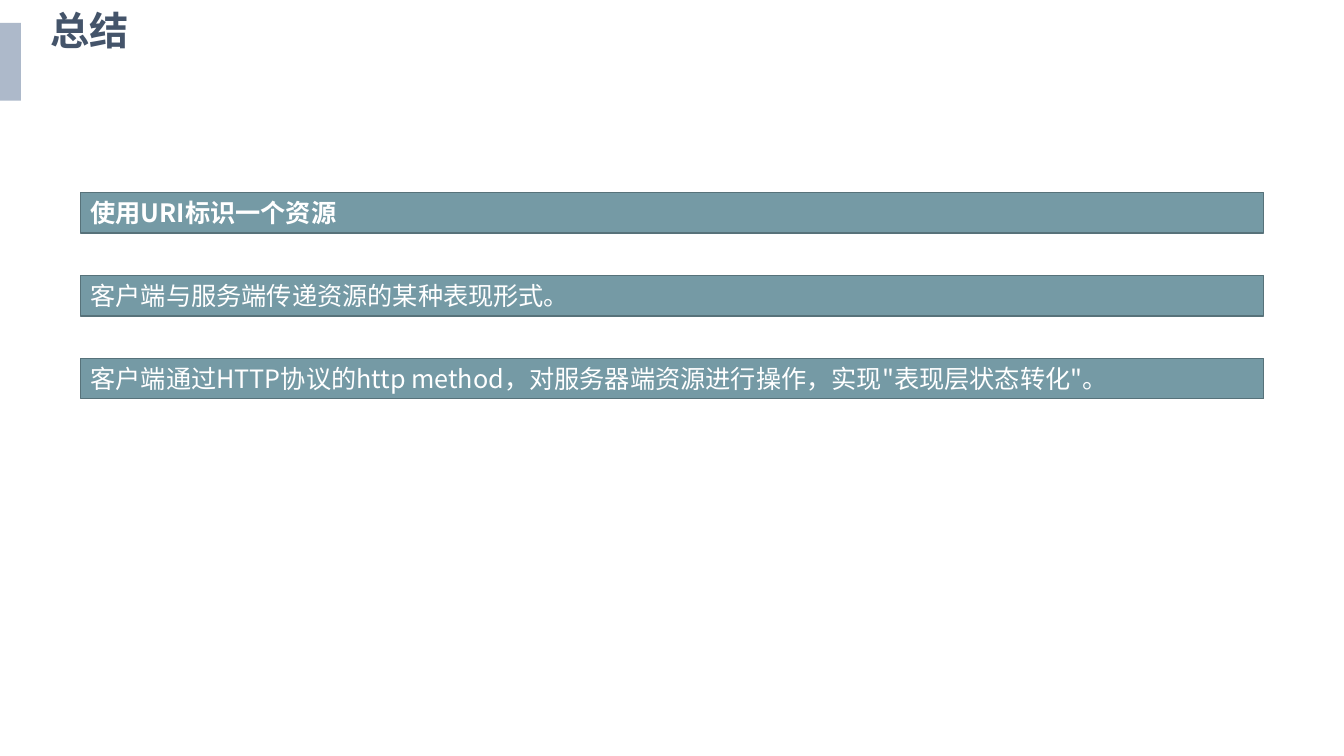
from dataclasses import dataclass

from lxml import etree
from pptx import Presentation
from pptx.dml.color import RGBColor
from pptx.enum.shapes import MSO_SHAPE
from pptx.enum.text import MSO_ANCHOR, MSO_AUTO_SIZE, PP_ALIGN
from pptx.oxml.ns import qn
from pptx.shapes.autoshape import Shape
from pptx.slide import Slide
from pptx.util import Cm, Pt

RECT = MSO_SHAPE.RECTANGLE
TOP = MSO_ANCHOR.TOP
MIDDLE = MSO_ANCHOR.MIDDLE
LEFT = PP_ALIGN.LEFT
GROW = MSO_AUTO_SIZE.SHAPE_TO_FIT_TEXT


@dataclass(frozen=True)
class Theme:
    font: str = "Noto Sans CJK SC"
    accent: str = "ADB9CA"
    title: str = "44546A"
    fill: str = "759AA5"
    line: str = "57727A"
    text: str = "FFFFFF"
    head_size: int = 28
    body_size: int = 18


@dataclass(frozen=True)
class Box:
    left: float
    top: float
    width: float
    height: float

    def lengths(self) -> tuple[Cm, Cm, Cm, Cm]:
        return Cm(self.left), Cm(self.top), Cm(self.width), Cm(self.height)


@dataclass(frozen=True)
class Point:
    text: str
    bold: bool = False


THEME = Theme()
FIRST = Box(2.03, 4.85, 29.82, 1.02)
PITCH = 2.09
POINTS = (
    Point("使用URI标识一个资源", True),
    Point("客户端与服务端传递资源的某种表现形式。"),
    Point("客户端通过HTTP协议的http method，对服务器端资源进行操作，实现\"表现层状态转化\"。"),
)


def write(shape: Shape, text: str, size: int, color: str, bold: bool) -> None:
    frame = shape.text_frame
    frame.text = text
    frame.word_wrap = True
    line = frame.paragraphs[0]
    line.alignment = LEFT
    for run in line.runs:
        font = run.font
        font.size = Pt(size)
        font.bold = bold
        font.color.rgb = RGBColor.from_string(color)
        font.name = THEME.font
        props = run._r.get_or_add_rPr()
        etree.SubElement(props, qn("a:ea"), typeface=THEME.font)


def add_rect(slide: Slide, box: Box, fill: str) -> Shape:
    shape = slide.shapes.add_shape(RECT, *box.lengths())
    shape.shadow.inherit = False
    shape.fill.solid()
    shape.fill.fore_color.rgb = RGBColor.from_string(fill)
    shape.line.fill.background()
    return shape


def add_title(slide: Slide, text: str) -> None:
    shape = slide.shapes.add_textbox(*Box(1.02, 0.13, 29.18, 1.4).lengths())
    write(shape, text, THEME.head_size, THEME.title, True)
    shape.text_frame.vertical_anchor = MIDDLE
    shape.text_frame.paragraphs[0].line_spacing = 0.9


def add_point(slide: Slide, point: Point, box: Box) -> None:
    shape = add_rect(slide, box, THEME.fill)
    shape.line.color.rgb = RGBColor.from_string(THEME.line)
    shape.line.width = Pt(1)
    write(shape, point.text, THEME.body_size, THEME.text, point.bold)
    shape.text_frame.vertical_anchor = TOP
    shape.text_frame.auto_size = GROW


def main() -> None:
    deck = Presentation()
    deck.slide_width, deck.slide_height = Cm(33.87), Cm(19.05)
    slide = deck.slides.add_slide(deck.slide_layouts[6])
    add_rect(slide, Box(0, 0.58, 0.53, 1.96), THEME.accent)
    add_title(slide, "总结")
    for row, point in enumerate(POINTS):
        top = FIRST.top + row * PITCH
        add_point(slide, point, Box(FIRST.left, top, FIRST.width, FIRST.height))
    deck.save("out.pptx")


if __name__ == "__main__":
    main()
